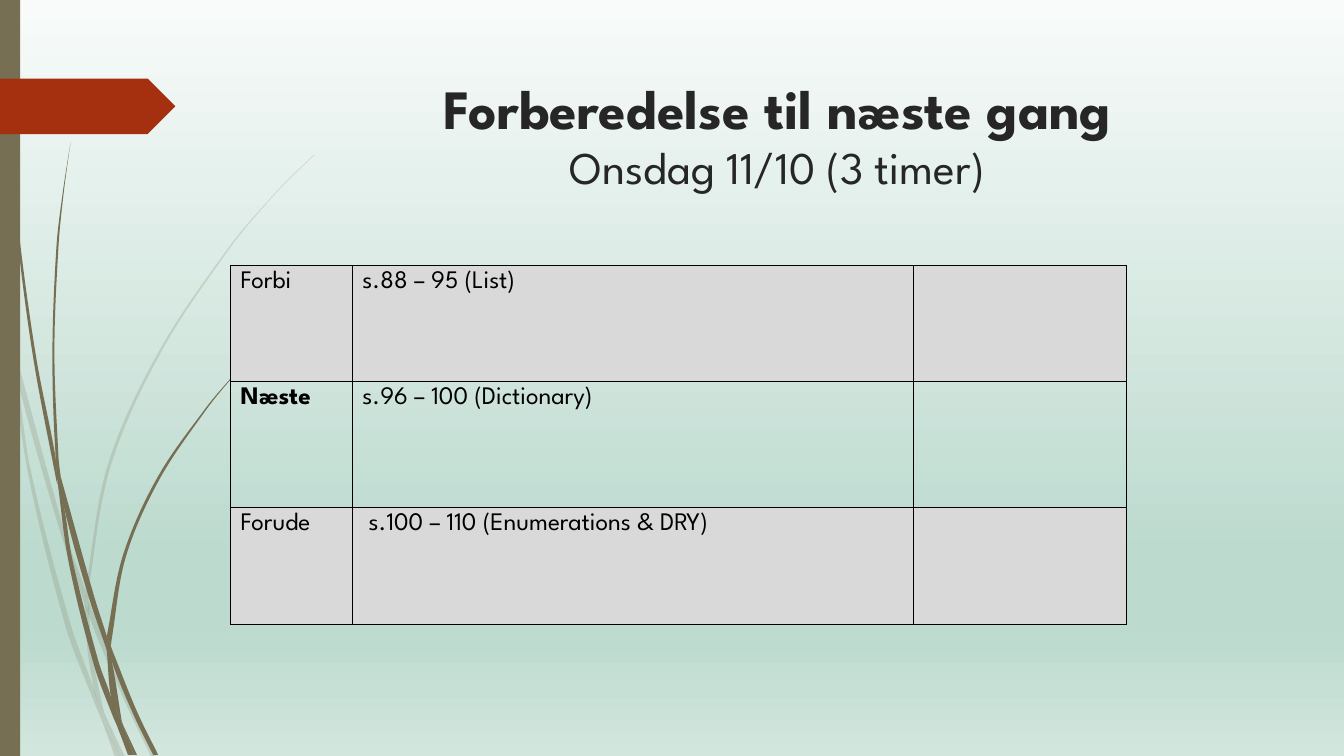
import copy
import pptx
import pptx.dml.color
import pptx.enum.shapes
import pptx.enum.text
import pptx.oxml
import pptx.oxml.ns
import pptx.util
from pptx.util import Cm, Pt

TITLE = [("Forberedelse til næste gang", 39.6, True), ("Onsdag 11/10 (3 timer)", 32.4, False)]
ROWS = [
    ("Forbi", "s.88 – 95 (List)", ""),
    ("Næste", "s.96 – 100 (Dictionary)", ""),
    ("Forude", " s.100 – 110 (Enumerations & DRY)", ""),
]
NEXT_ROW = 1
COL_WIDTHS = [3.07, 14.15, 5.36]
ROW_HEIGHTS = [2.92, 3.17, 2.95]

THEME = {
    "font": "League Spartan", "body": 18, "title": "262626", "text": "000000",
    "grass": "766F54", "arrow": "A53010", "shade": "D9D9D9", "border": "000000",
    "sky": [(0, "F8FBFA"), (0.74, "BCDACE"), (0.83, "BCDACE"), (1, "D2E6DE")],
}

# Each piece of grass has a left and a right edge, in steps of GRID from the top left corner
GRID = Cm(0.0254)
PALE_GRASS = [
    ([(0, 299), (10, 344), (11, 350)], [(0, 282), (9, 322), (11, 350)]),
    ([(14, 345), (17, 376), (58, 522), (84, 599)], [(14, 345), (62, 520), (85, 586)]),
    ([(88, 596), (88, 610), (123, 694), (150, 751)],
     [(88, 596), (92, 607), (127, 692), (155, 751)]),
    ([(105, 711), (119, 751)], [(105, 711), (124, 751)]),
    ([(11, 350), (28, 470), (65, 621), (92, 693), (101, 714)],
     [(11, 350), (17, 376), (31, 469), (70, 619), (93, 683), (99, 707), (101, 714)]),
    ([(84, 599), (87, 646), (93, 683), (96, 692), (105, 711)],
     [(84, 599), (88, 608), (91, 646), (103, 706), (105, 711)]),
    ([(312, 153), (289, 175), (268, 197), (228, 244), (158, 348), (107, 461), (85, 584), (85, 586)],
     [(312, 154), (290, 175), (268, 198), (229, 245), (160, 349), (110, 462), (88, 584), (88, 596)]),
    ([(101, 714), (114, 751)], [(101, 714), (119, 751)]),
    ([(85, 586), (84, 599)], [(85, 586), (88, 596), (88, 610)]),
    ([(93, 683), (99, 707), (101, 714), (119, 751)],
     [(93, 683), (96, 692), (105, 711), (119, 751)]),
]
DARK_GRASS = [
    ([(3, 0), (4, 48), (7, 110), (17, 233), (33, 355), (56, 477), (57, 481)],
     [(4, 0), (5, 48), (8, 109), (19, 232), (36, 355), (55, 453), (57, 481)]),
    ([(60, 472), (64, 505), (88, 592), (106, 645)], [(60, 472), (93, 590), (106, 631)]),
    ([(110, 641), (111, 656), (132, 708), (152, 749)],
     [(110, 641), (113, 649), (136, 706), (157, 749)]),
    ([(57, 477), (68, 557), (93, 659), (111, 708), (117, 722)],
     [(57, 477), (64, 505), (72, 556), (98, 657), (110, 691), (117, 722)]),
    ([(70, 141), (62, 193), (56, 245), (52, 349), (55, 449), (60, 472)],
     [(70, 141), (63, 193), (58, 245), (54, 349), (58, 453), (60, 472)]),
    ([(122, 719), (133, 749)], [(122, 719), (136, 749)]),
    ([(55, 449), (57, 477), (64, 505)], [(55, 449), (60, 472), (64, 505)]),
    ([(260, 344), (245, 358), (231, 373), (204, 405), (156, 474), (122, 551), (106, 631)],
     [(261, 344), (245, 359), (231, 374), (205, 406), (158, 476), (125, 552), (111, 633), (110, 641)]),
    ([(117, 722), (127, 749)], [(117, 722), (131, 749)]),
    ([(106, 645), (110, 691), (116, 706), (122, 719)],
     [(106, 645), (111, 656), (121, 716), (122, 719)]),
    ([(106, 631), (106, 645), (111, 656)], [(106, 631), (110, 641), (111, 656)]),
    ([(110, 691), (117, 722), (130, 749)], [(110, 691), (116, 706), (122, 719), (133, 749)]),
]


def rgb(name):
    return pptx.dml.color.RGBColor.from_string(THEME.get(name, name))


def write(p, text, size=THEME["body"], color="text", bold=False):
    r = p.add_run()
    r.text = text
    r.font.name, r.font.size, r.font.bold = THEME["font"], Pt(size), bold
    r.font.color.rgb = rgb(color)


def paint(sp, color):
    sp.shadow.inherit = False
    sp.fill.solid()
    sp.fill.fore_color.rgb = rgb(color)
    sp.line.fill.background()


def bezier_edge(points):
    """Bézier points of a smooth curve through the points, in EMU."""
    z = [complex(*point) * GRID for point in points]
    ends = [z[0], *z, z[-1]]
    slopes = [(c - a) / (abs(c - b) + abs(b - a)) for a, b, c in zip(ends, ends[1:], ends[2:])]
    curve = [z[0]]
    for a, b, start, end in zip(z, z[1:], slopes, slopes[1:]):
        reach = abs(b - a) / 3
        curve += [a + start * reach, b - end * reach, b]
    return [(round(v.real), round(v.imag)) for v in curve]


def bend(lines):
    """Turn each three line segments into one cubic curve."""
    for first, second, third in zip(*[iter(lines)] * 3):
        cubic = pptx.oxml.parse_xml(f'<a:cubicBezTo {pptx.oxml.ns.nsdecls("a")}/>')
        first.addprevious(cubic)
        for line in (first, second, third):
            cubic.append(line[0])
            line.getparent().remove(line)


def add_grass(s, left, right, opacity=None):
    down, up = bezier_edge(left), bezier_edge(right[::-1])
    builder = s.shapes.build_freeform(*down[0])
    builder.add_line_segments(down[1:] + up, close=True)
    sp = builder.convert_to_shape()
    paint(sp, "grass")
    lines = sp._element.findall(".//" + pptx.oxml.ns.qn("a:lnTo"))
    bend(lines[:len(down) - 1])
    bend(lines[len(down):len(down) + len(up) - 1])
    if opacity:
        clr = sp._element.spPr.find(".//" + pptx.oxml.ns.qn("a:srgbClr"))
        clr.append(pptx.oxml.parse_xml(
            f'<a:alpha {pptx.oxml.ns.nsdecls("a")} val="{opacity * 1000}"/>'))


def add_background(s):
    fill = s.background.fill
    fill.gradient()
    fill.gradient_angle = 270
    stops = s._element.find(".//" + pptx.oxml.ns.qn("a:gsLst"))
    while len(stops) < len(THEME["sky"]):
        stops.append(copy.deepcopy(stops[0]))
    for stop, (position, color) in zip(fill.gradient_stops, THEME["sky"]):
        stop.position = position
        stop.color.rgb = rgb(color)


def add_decoration(s):
    shapes = pptx.enum.shapes.MSO_SHAPE
    for left, right in PALE_GRASS:
        add_grass(s, left, right, opacity=20)
    for left, right in DARK_GRASS:
        add_grass(s, left, right)
    paint(s.shapes.add_shape(shapes.RECTANGLE, 0, 0, Cm(0.51), Cm(19.05)), "grass")
    paint(s.shapes.add_shape(shapes.PENTAGON, 0, Cm(1.98), Cm(4.42), Cm(1.4)), "arrow")


def format_title(s):
    sp = s.shapes.title
    sp.left, sp.top, sp.width, sp.height = Cm(7.21), Cm(1.73), Cm(24.77), Cm(3.56)
    tf = sp.text_frame
    tf.word_wrap = True
    tf.auto_size = pptx.enum.text.MSO_AUTO_SIZE.NONE
    tf.vertical_anchor = pptx.enum.text.MSO_ANCHOR.TOP
    tf.margin_top = Cm(0.46)
    p = tf.paragraphs[0]
    p.alignment = pptx.enum.text.PP_ALIGN.CENTER
    p.line_spacing = Pt(38.2)
    p.space_before = Pt(0)
    for i, (text, size, bold) in enumerate(TITLE):
        if i:
            p.add_line_break()
        write(p, text, size=size, color="title", bold=bold)


def add_borders(cell):
    tcPr = cell._tc.get_or_add_tcPr()
    for i, side in enumerate(("lnL", "lnR", "lnT", "lnB")):
        tcPr.insert(i, pptx.oxml.parse_xml(
            f'<a:{side} {pptx.oxml.ns.nsdecls("a")} w="{Pt(1)}"><a:solidFill>'
            f'<a:srgbClr val="{THEME["border"]}"/></a:solidFill></a:{side}>'))


def add_reading_table(s):
    table = s.shapes.add_table(len(ROWS), len(COL_WIDTHS), Cm(5.81), Cm(6.7),
                               Cm(sum(COL_WIDTHS)), Cm(sum(ROW_HEIGHTS))).table
    table.first_row = table.horz_banding = False
    for column, width in zip(table.columns, COL_WIDTHS):
        column.width = Cm(width)
    for i, (texts, height) in enumerate(zip(ROWS, ROW_HEIGHTS)):
        table.rows[i].height = Cm(height)
        for j, text in enumerate(texts):
            cell = table.cell(i, j)
            if i == NEXT_ROW:
                cell.fill.background()
            else:
                cell.fill.solid()
                cell.fill.fore_color.rgb = rgb("shade")
            add_borders(cell)
            if text:
                write(cell.text_frame.paragraphs[0], text, bold=(i == NEXT_ROW and j == 0))


def main():
    prs = pptx.Presentation()
    prs.slide_width, prs.slide_height = Cm(33.87), Cm(19.05)
    s = prs.slides.add_slide(prs.slide_layouts.get_by_name("Title Only"))
    add_background(s)
    add_decoration(s)
    format_title(s)
    add_reading_table(s)
    prs.save("out.pptx")


if __name__ == "__main__":
    main()
